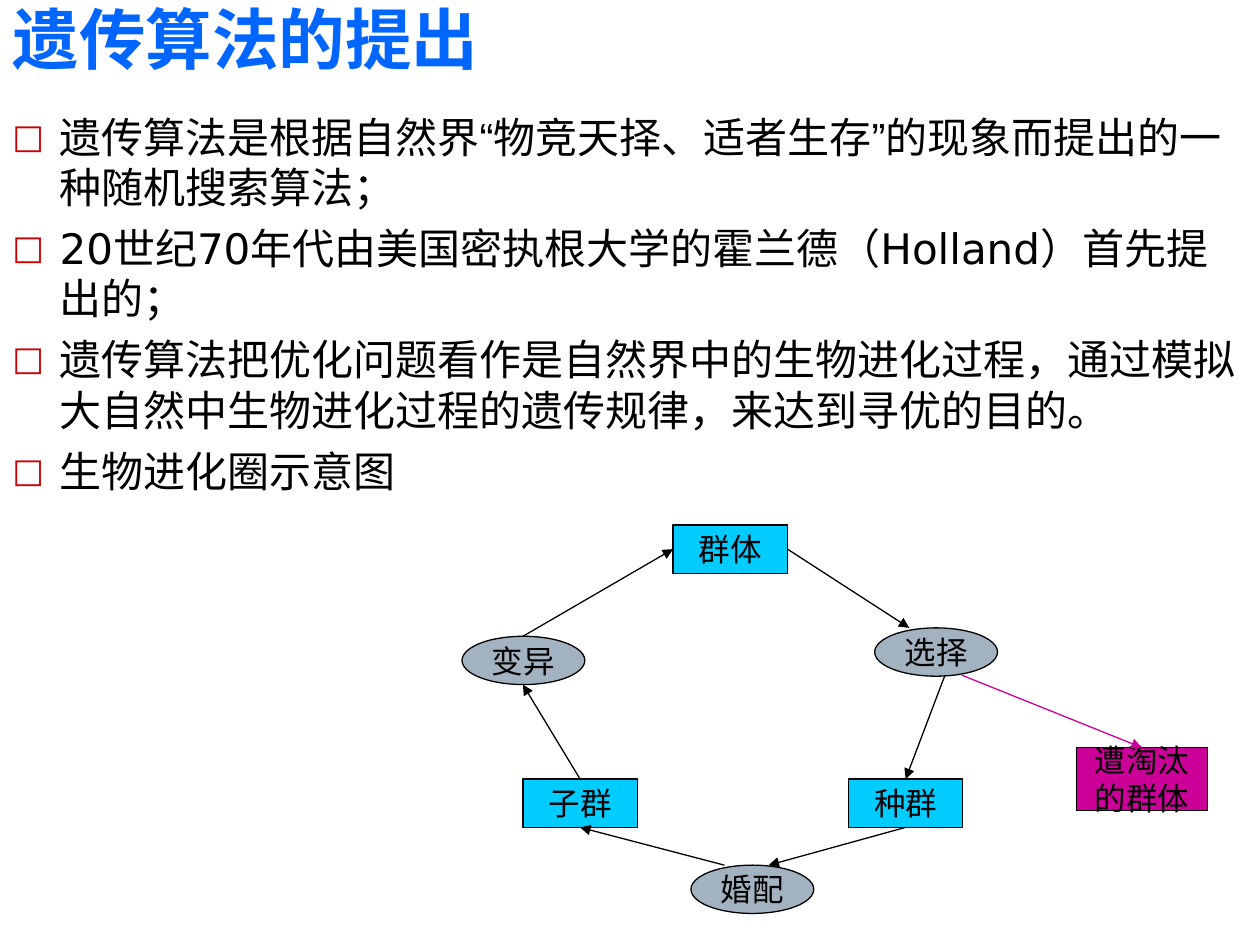
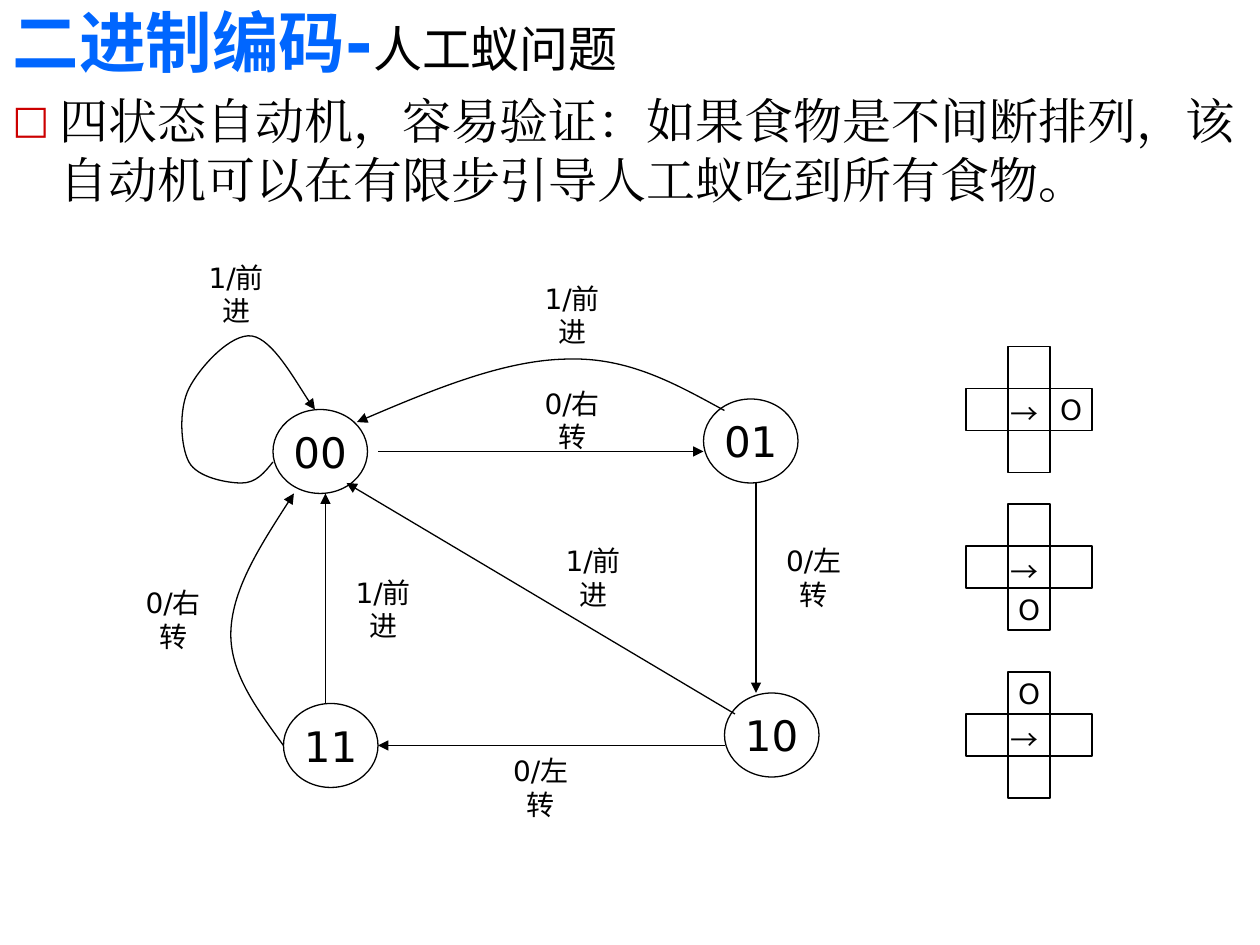
import pptx
import pptx.util
import pptx.dml.color
import pptx.enum.shapes
import pptx.enum.text
import pptx.oxml
import pptx.oxml.ns
from lxml import etree

PX = 7620
SHAPE = pptx.enum.shapes.MSO_SHAPE
ALIGN = pptx.enum.text.PP_ALIGN
ANCHOR = pptx.enum.text.MSO_ANCHOR
qn = pptx.oxml.ns.qn


class Theme:
    title = "0066FF"
    ink = "000000"
    bullet = "CC0000"
    operator = "A3B2C1"
    population = "00CCFF"
    rejected = "CC0099"
    font = "DejaVu Sans"
    quote_font = "Arial"
    serif = "Times New Roman"
    arrow_font = "Noto Sans CJK SC"
    title_size = 38
    large = 28
    medium = 24
    node_size = 18
    small = 16
    line = 0.75


def px(*values):
    return [pptx.util.Emu(round(v * PX)) for v in values]


def rgb(color):
    return pptx.dml.color.RGBColor.from_string(color)


def style_run(r, size, color=Theme.ink, font=Theme.font, bold=False):
    r.font.size = pptx.util.Pt(size)
    r.font.bold = bold
    r.font.color.rgb = rgb(color)
    r.font.name = font
    ea = etree.SubElement(r.font._element, qn("a:ea"))
    ea.set("typeface", font)


def write_centered(sp, text, size, font=Theme.font):
    tf = sp.text_frame
    tf.text = text
    tf.word_wrap = False
    tf.vertical_anchor = ANCHOR.MIDDLE
    for p in tf.paragraphs:
        p.alignment = ALIGN.CENTER
        for r in p.runs:
            style_run(r, size, font=font)


def add_node(s, kind, x, y, w, h, text="", size=Theme.node_size, fill=None, font=Theme.font):
    sp = s.shapes.add_shape(kind, *px(x, y, w, h))
    sp.shadow.inherit = False
    if fill:
        sp.fill.solid()
        sp.fill.fore_color.rgb = rgb(fill)
    else:
        sp.fill.background()
    sp.line.color.rgb = rgb(Theme.ink)
    sp.line.width = pptx.util.Pt(Theme.line)
    if text:
        write_centered(sp, text, size, font)
    return sp


def style_arrow(sp, color=Theme.ink):
    sp.line.color.rgb = rgb(color)
    sp.line.width = pptx.util.Pt(Theme.line)
    etree.SubElement(sp.line._get_or_add_ln(), qn("a:tailEnd")).set("type", "triangle")


def add_arrow(s, x1, y1, x2, y2, color=Theme.ink):
    cx = s.shapes.add_connector(pptx.enum.shapes.MSO_CONNECTOR.STRAIGHT, *px(x1, y1, x2, y2))
    style_arrow(cx, color)
    etree.SubElement(cx._element.spPr, qn("a:effectLst"))
    return cx


def add_curve(s, points):
    builder = s.shapes.build_freeform(*points[0], scale=PX)
    builder.add_line_segments(points[1:], close=False)
    sp = builder.convert_to_shape()
    sp.shadow.inherit = False
    sp.fill.background()
    style_arrow(sp)
    segments = list(sp._element.iter(qn("a:lnTo")))
    for i in range(0, len(segments), 3):
        bezier = etree.Element(qn("a:cubicBezTo"))
        segments[i].addprevious(bezier)
        for segment in segments[i:i + 3]:
            bezier.append(segment[0])
            segment.getparent().remove(segment)


def add_title(s, width, height, runs):
    sp = s.shapes.title
    sp.left, sp.top, sp.width, sp.height = px(0, 0, width, height)
    tf = sp.text_frame
    tf.auto_size = pptx.enum.text.MSO_AUTO_SIZE.NONE
    tf.vertical_anchor = ANCHOR.BOTTOM
    p = tf.paragraphs[0]
    p.alignment = ALIGN.LEFT
    for text, size, color, bold in runs:
        r = p.add_run()
        r.text = text
        style_run(r, size, color, bold=bold)


def add_bullet(p):
    pPr = p._p.get_or_add_pPr()
    pPr.set("marL", str(45 * PX))
    pPr.set("indent", str(-45 * PX))
    color = etree.SubElement(pPr, qn("a:buClr"))
    etree.SubElement(color, qn("a:srgbClr")).set("val", Theme.bullet)
    etree.SubElement(pPr, qn("a:buSzPct")).set("val", "80000")
    etree.SubElement(pPr, qn("a:buFont")).set("typeface", Theme.font)
    etree.SubElement(pPr, qn("a:buChar")).set("char", "□")


def add_body(s, x, y, w, h, items, size, space, font=Theme.font):
    tf = s.shapes.add_textbox(*px(x, y, w, h)).text_frame
    tf.word_wrap = True
    for i, parts in enumerate(items):
        p = tf.add_paragraph() if i else tf.paragraphs[0]
        add_bullet(p)
        if i:
            p.space_before = pptx.util.Pt(space)
        for part in parts:
            r = p.add_run()
            r.text = part
            style_run(r, size, font=Theme.quote_font if part in "“”" else font)


def add_evolution_cycle(s, x, y):
    for text, dx, dy in [("婚配", 218, 324), ("选择", 393, 98), ("变异", 0, 106)]:
        add_node(s, SHAPE.OVAL, x + dx, y + dy, 117, 46, text, fill=Theme.operator)
    boxes = {}
    for text, dx, dy in [("子群", 58, 242), ("种群", 368, 242), ("群体", 201, 0)]:
        boxes[text] = add_node(s, SHAPE.RECTANGLE, x + dx, y + dy, 109, 46, text,
                               fill=Theme.population)
    rejected = add_node(s, SHAPE.RECTANGLE, x + 585, y + 212, 125, 60, "遭淘汰\n的群体",
                        fill=Theme.rejected)
    outgoing = [("群体", 3, 426, 98), ("种群", 2, 292, 324), ("子群", 0, 58, 152)]
    for text, side, dx, dy in outgoing:
        add_arrow(s, x, y, x + dx, y + dy).begin_connect(boxes[text], side)
    incoming = [(460, 143, boxes["种群"], 0, Theme.ink),
                (250, 324, boxes["子群"], 2, Theme.ink),
                (58, 106, boxes["群体"], 1, Theme.ink),
                (476, 143, rejected, 0, Theme.rejected)]
    for dx, dy, box, side, color in incoming:
        add_arrow(s, x + dx, y + dy, x, y, color).end_connect(box, side)


def add_automaton(s, x, y):
    for text, dx, dy in [("00", 140, 140), ("11", 150, 420), ("10", 570, 410), ("01", 550, 130)]:
        add_node(s, SHAPE.OVAL, x + dx, y + dy, 90, 80, text, Theme.medium)
    arrows = [(240, 180, 550, 180), (600, 210, 600, 410), (570, 460, 240, 460),
              (580, 430, 210, 210), (190, 420, 190, 220)]
    for x1, y1, x2, y2 in arrows:
        add_arrow(s, x + x1, y + y1, x + x2, y + y2)
    curves = [
        [(140, 190), (132, 200), (124, 210), (110, 210), (97, 210), (68, 205), (60, 190),
         (52, 175), (50, 140), (60, 120), (70, 100), (100, 67), (120, 70),
         (140, 73), (170, 128), (180, 140)],
        [(570, 141), (524, 116), (479, 90), (420, 92), (361, 93), (290, 122), (220, 152)],
        [(150, 460), (124, 424), (98, 390), (100, 350), (102, 310), (131, 265), (160, 220)],
    ]
    for points in curves:
        add_curve(s, [(x + dx, y + dy) for dx, dy in points])
    labels = [("1/前进", 60, 0), ("1/前进", 380, 20), ("0/右转", 380, 120), ("0/左转", 610, 270),
              ("0/左转", 350, 470), ("0/右转", 0, 310), ("1/前进", 400, 270), ("1/前进", 200, 300)]
    for text, dx, dy in labels:
        write_centered(s.shapes.add_textbox(*px(x + dx, y + dy, 90, 60)), text, Theme.small)


def add_ant_cross(s, x, y, food, cell=40):
    for col, row in [(1, 1), (1, 2), (2, 1), (1, 0), (0, 1)]:
        box = (x + col * cell, y + row * cell, cell, cell)
        if (col, row) == (1, 1):
            ant = add_node(s, SHAPE.RECTANGLE, *box, "→", Theme.small, font=Theme.arrow_font)
            ant.text_frame.margin_right, ant.text_frame.margin_top = px(20, 14)
        else:
            add_node(s, SHAPE.RECTANGLE, *box, "O" if (col, row) == food else "", Theme.small)


def build_origin_slide(prs):
    s = prs.slides.add_slide(prs.slide_layouts[5])
    add_title(s, 1050, 80, [("遗传算法的提出", Theme.title_size, Theme.title, True)])
    items = [
        ["遗传算法是根据自然界", "“", "物竞天择、适者生存", "”", "的现象而提出的一种随机搜索算法；"],
        ["20世纪70年代由美国密执根大学的霍兰德（Holland）首先提出的；"],
        ["遗传算法把优化问题看作是自然界中的生物进化过程，"
         "通过模拟大自然中生物进化过程的遗传规律，来达到寻优的目的。"],
        ["生物进化圈示意图"],
    ]
    add_body(s, 0, 100, 1200, 800, items, Theme.medium, 6)
    add_evolution_cycle(s, 440, 500)


def build_ant_slide(prs):
    s = prs.slides.add_slide(prs.slide_layouts[5])
    add_title(s, 1030, 83, [("二进制编码-", Theme.title_size, Theme.title, True),
                            ("人工蚁问题", Theme.large, Theme.ink, False)])
    items = [["四状态自动机，容易验证：如果食物是不间断排列，"
              "该自动机可以在有限步引导人工蚁吃到所有食物。"]]
    add_body(s, 0, 80, 1200, 820, items, Theme.large, 7, Theme.serif)
    add_automaton(s, 120, 250)
    for y, food in [(330, (2, 1)), (480, (1, 2)), (640, (1, 0))]:
        add_ant_cross(s, 920, y, food)


def main():
    prs = pptx.Presentation()
    prs.slide_width, prs.slide_height = px(1200, 900)
    build_origin_slide(prs)
    build_ant_slide(prs)
    prs.save("out.pptx")


if __name__ == "__main__":
    main()
